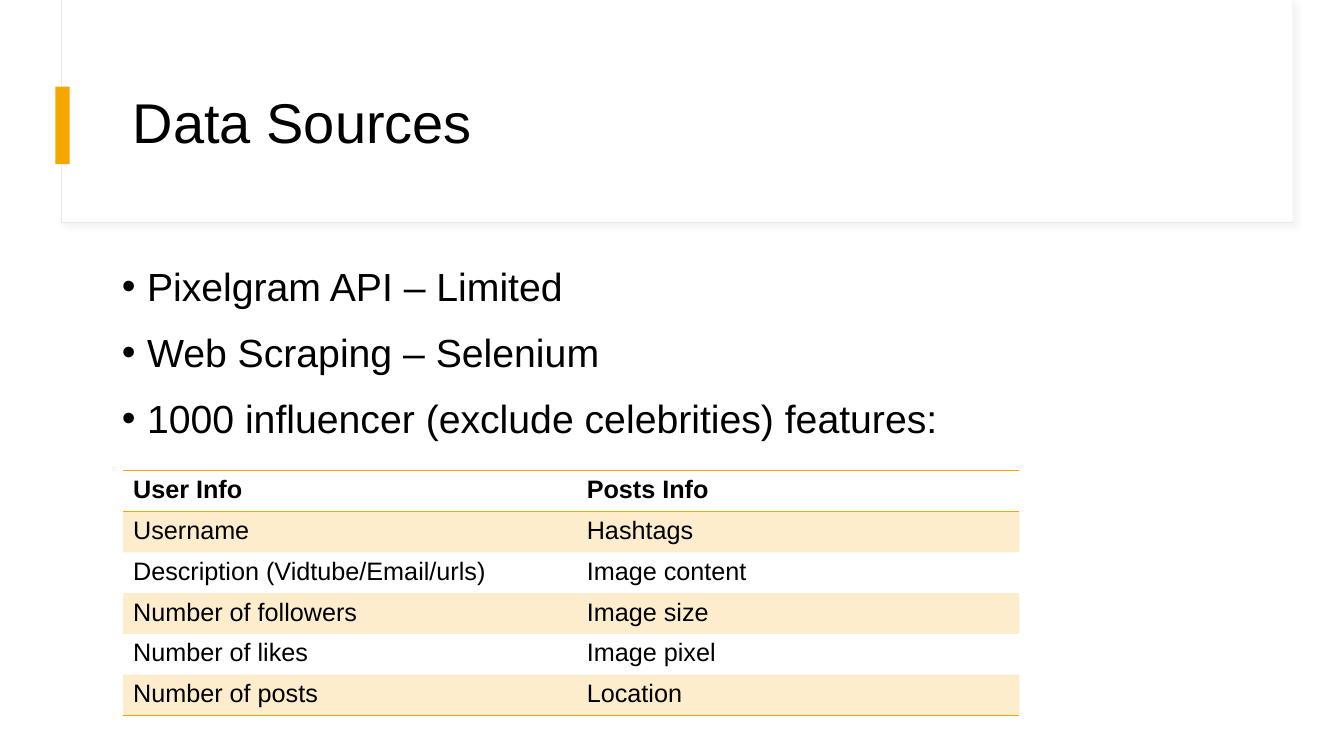
from dataclasses import dataclass

from lxml.etree import SubElement
from pptx import Presentation
from pptx.dml.color import RGBColor as RGB
from pptx.enum.shapes import MSO_SHAPE as SHAPE
from pptx.enum.text import MSO_ANCHOR as ANCHOR
from pptx.oxml import parse_xml
from pptx.oxml.ns import nsdecls, qn
from pptx.util import Inches, Pt


@dataclass(frozen=True)
class Theme:
    """Colours, font and type sizes of the slide."""
    accent: str = "F5A700"
    text: str = "000000"
    paper: str = "FFFFFF"
    frame: str = "E9E9E9"
    shadow: str = "D9D9D9"
    font: str = "Arial"
    title_size: int = 40
    bullet_size: int = 28
    table_size: int = 18
    band_alpha: int = 20
    shadow_alpha: int = 30


THEME = Theme()
NO_TABLE_STYLE = "{2D5ABB26-0587-4C30-8999-92F81FD0307C}"

BULLETS = [
    "Pixelgram API – Limited",
    "Web Scraping – Selenium",
    "1000 influencer (exclude celebrities) features:",
]
FEATURES = [
    ("User Info", "Posts Info"),
    ("Username", "Hashtags"),
    ("Description (Vidtube/Email/urls)", "Image content"),
    ("Number of followers", "Image size"),
    ("Number of likes", "Image pixel"),
    ("Number of posts", "Location"),
]


def write(paragraph, text, *, size, bold=False, line_spacing=None,
          space_before=None, bullet=False):
    """Put formatted text into a paragraph."""
    run = paragraph.add_run()
    run.text = text
    run.font.name = THEME.font
    run.font.size = Pt(size)
    run.font.bold = bold
    run.font.color.rgb = RGB.from_string(THEME.text)
    if line_spacing:
        paragraph.line_spacing = line_spacing
    if space_before is not None:
        paragraph.space_before = Pt(space_before)
    if bullet:
        properties = paragraph._p.get_or_add_pPr()
        properties.set("marL", str(Inches(0.25)))
        properties.set("indent", str(Inches(-0.25)))
        SubElement(properties, qn("a:buFont"), typeface=THEME.font)
        SubElement(properties, qn("a:buChar"), char="•")


def add_panel(slide, left, top, width, height, *, fill, line=None):
    """Add a flat rectangle, outlined when a line colour is given."""
    panel = slide.shapes.add_shape(SHAPE.RECTANGLE, Inches(left), Inches(top),
                                   Inches(width), Inches(height))
    panel.shadow.inherit = False
    panel.fill.solid()
    panel.fill.fore_color.rgb = RGB.from_string(fill)
    if line:
        panel.line.color.rgb = RGB.from_string(line)
        panel.line.width = Pt(0.75)
    else:
        panel.line.fill.background()
    return panel


def add_soft_shadow(panel):
    """Cast a faint shadow towards the lower right."""
    effects = panel._element.spPr.find(qn("a:effectLst"))
    effects.append(parse_xml(
        f'<a:outerShdw {nsdecls("a")} blurRad="{Pt(4)}" dist="{Pt(3)}" '
        f'dir="{45 * 60000}" algn="tl" rotWithShape="0">'
        f'<a:srgbClr val="{THEME.shadow}">'
        f'<a:alpha val="{THEME.shadow_alpha * 1000}"/>'
        f'</a:srgbClr></a:outerShdw>'))


def add_text(slide, left, top, width, height, lines, *,
             anchor=ANCHOR.TOP, **text_format):
    """Add a wrapping text box with one paragraph per line."""
    frame = slide.shapes.add_textbox(Inches(left), Inches(top), Inches(width),
                                     Inches(height)).text_frame
    frame.word_wrap = True
    frame.vertical_anchor = anchor
    for index, line in enumerate(lines):
        paragraph = frame.add_paragraph() if index else frame.paragraphs[0]
        write(paragraph, line, **text_format)


def rule_cell(cell, edge):
    """Draw an accent rule on one edge (lnT or lnB) of a cell."""
    cell._tc.get_or_add_tcPr().append(parse_xml(
        f'<a:{edge} {nsdecls("a")} w="{Pt(1)}"><a:solidFill>'
        f'<a:srgbClr val="{THEME.accent}"/></a:solidFill></a:{edge}>'))


def fill_cell(cell, banded):
    """Tint a banded cell with the accent and leave the others clear."""
    if not banded:
        cell.fill.background()
        return
    cell.fill.solid()
    cell.fill.fore_color.rgb = RGB.from_string(THEME.accent)
    tint = cell._tc.tcPr.find(qn("a:solidFill")).find(qn("a:srgbClr"))
    SubElement(tint, qn("a:alpha"), val=str(THEME.band_alpha * 1000))


def add_feature_table(slide, left, top, column_widths, row_height, rows):
    """Add the ruled table with a bold header and tinted odd rows."""
    table = slide.shapes.add_table(
        len(rows), len(column_widths), Inches(left), Inches(top),
        Inches(sum(column_widths)), Inches(row_height * len(rows))).table
    table._tbl.tblPr.find(qn("a:tableStyleId")).text = NO_TABLE_STYLE
    for column, width in zip(table.columns, column_widths):
        column.width = Inches(width)
    for row_index, labels in enumerate(rows):
        is_header = row_index == 0
        for column_index, label in enumerate(labels):
            cell = table.cell(row_index, column_index)
            write(cell.text_frame.paragraphs[0], label,
                  size=THEME.table_size, bold=is_header)
            if is_header:
                rule_cell(cell, "lnT")
            if is_header or row_index == len(rows) - 1:
                rule_cell(cell, "lnB")
            fill_cell(cell, banded=row_index % 2 == 1)


def main():
    """Build the slide and save it."""
    deck = Presentation()
    deck.slide_width, deck.slide_height = Inches(13.33), Inches(7.5)
    slide = deck.slides.add_slide(deck.slide_layouts[6])

    header = add_panel(slide, 0.61, 0, 12.21, 2.21,
                       fill=THEME.paper, line=THEME.frame)
    add_soft_shadow(header)
    add_panel(slide, 0.62, 0, 12.2, 2.2, fill=THEME.paper)
    add_panel(slide, 0.55, 0.86, 0.14, 0.77, fill=THEME.accent)

    add_text(slide, 1.22, 0.6, 11.12, 1.29, ["Data Sources"],
             anchor=ANCHOR.MIDDLE, size=THEME.title_size, line_spacing=0.9)
    add_text(slide, 1.11, 2.51, 11.12, 4.04, BULLETS, bullet=True,
             size=THEME.bullet_size, line_spacing=1.1, space_before=10)
    add_feature_table(slide, 1.22, 4.67, (4.5, 4.39), 0.405, FEATURES)

    deck.save("out.pptx")


if __name__ == "__main__":
    main()
